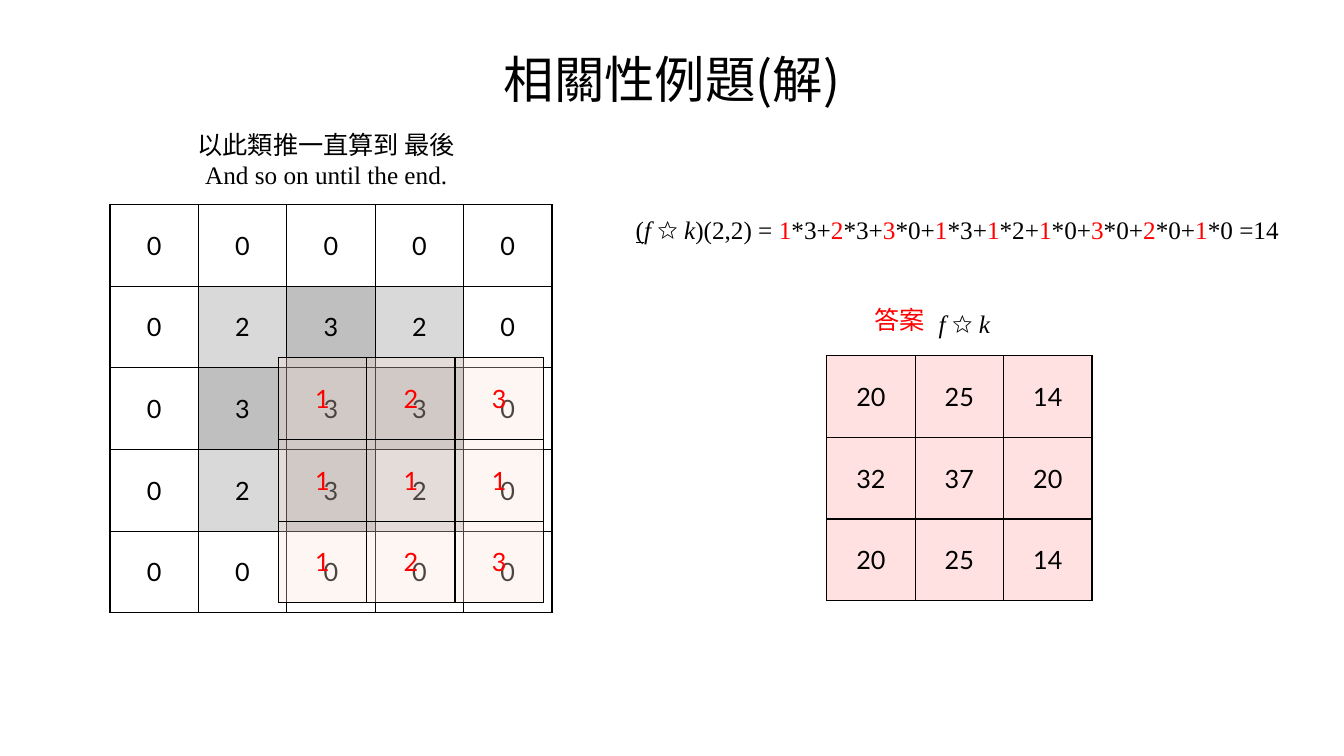
from lxml import etree
from pptx import Presentation
from pptx.dml.color import RGBColor
from pptx.enum import text as t
from pptx.oxml.ns import qn
from pptx.util import Inches, Pt

# Content
TITLE = "相關性例題(解)"
CAPTION_ZH, CAPTION_EN = "以此類推一直算到 最後", "And so on until the end."
ANSWER = "答案"
IMAGE = [[0, 0, 0, 0, 0],
         [0, 2, 3, 2, 0],
         [0, 3, 3, 3, 0],
         [0, 2, 3, 2, 0],
         [0, 0, 0, 0, 0]]
KERNEL = [[1, 2, 3], [1, 1, 1], [1, 2, 3]]
RESULT = [[20, 25, 14], [32, 37, 20], [20, 25, 14]]
PRODUCTS = [(1, 3), (2, 3), (3, 0), (1, 3), (1, 2), (1, 0), (3, 0), (2, 0), (1, 0)]

COLORS = {"black": "000000", "red": "FF0000", "white": "FFFFFF", "light": "D9D9D9",
          "mid": "BFBFBF", "kernel": "FBE3D6", "result": "FFE1E1"}
GREYS = {0: "white", 2: "light", 3: "mid"}
CJK, SERIF, SANS = "Noto Sans CJK SC", "Times New Roman", "Lato"
CELL_W, CELL_H = 0.877, 0.81

# A run is (text, style): i italic, u underlined, r red
CORRELATION = [("f ", "i"), ("☆ ", ""), ("k", "i")]
EQUATION = [("(", "u"), *CORRELATION, (")(2,2) = ", "")]
for n, (weight, pixel) in enumerate(PRODUCTS, 1):
    ending = "+" if n < len(PRODUCTS) else " =14 "
    EQUATION += [(str(weight), "r"), (f"*{pixel}{ending}", "")]


def rgb(name):
    return RGBColor.from_string(COLORS[name])


def set_font(font, name, size, color="black"):
    font.name, font.size = name, Pt(size)
    font.color.rgb = rgb(color)


def fill_paragraph(paragraph, runs, font, size=18, color="black", align=t.PP_ALIGN.CENTER):
    paragraph.alignment = align
    set_font(paragraph.font, font, size, color)
    for words, style in runs:
        run = paragraph.add_run()
        run.text = words
        set_font(run.font, font, size, "red" if "r" in style else color)
        if "i" in style:
            run.font.italic = True
        if "u" in style:
            run.font.underline = True
        if font == CJK:
            etree.SubElement(run.font._element, qn("a:ea"), typeface=font)


def add_text(box, wrap=False):
    frame = slide.shapes.add_textbox(*map(Inches, box)).text_frame
    frame.word_wrap = wrap
    frame.auto_size = t.MSO_AUTO_SIZE.SHAPE_TO_FIT_TEXT
    return frame


def add_border(cell):
    properties = cell._tc.get_or_add_tcPr()
    for place, side in enumerate(("lnL", "lnR", "lnT", "lnB")):
        line = etree.Element(qn(f"a:{side}"), w=str(Pt(1)))
        solid = etree.SubElement(line, qn("a:solidFill"))
        etree.SubElement(solid, qn("a:srgbClr"), val=COLORS["black"])
        properties.insert(place, line)


def add_grid(values, left, top, fill_of, color="black", opacity=100):
    rows, cols = len(values), len(values[0])
    table = slide.shapes.add_table(rows, cols, Inches(left), Inches(top),
                                   Inches(cols * CELL_W), Inches(rows * CELL_H)).table
    table.first_row = table.horz_banding = False
    for column in table.columns:
        column.width = Inches(CELL_W)
    for row, row_values in zip(table.rows, values):
        row.height = Inches(CELL_H)
        for cell, value in zip(row.cells, row_values):
            cell.vertical_anchor = t.MSO_ANCHOR.MIDDLE
            fill_paragraph(cell.text_frame.paragraphs[0], [(str(value), "")], SANS, color=color)
            cell.fill.solid()
            cell.fill.fore_color.rgb = rgb(fill_of(value))
            if opacity < 100:
                tint = cell._tc.tcPr.find(".//" + qn("a:srgbClr"))
                etree.SubElement(tint, qn("a:alpha"), val=str(opacity * 1000))
            add_border(cell)


prs = Presentation()
prs.slide_width, prs.slide_height = Inches(13.33), Inches(7.5)
slide = prs.slides.add_slide(prs.slide_layouts[5])

# Title
title = slide.shapes.title
title.left, title.top, title.width, title.height = map(Inches, (0, 0.42, 13.33, 0.71))
title.text_frame.vertical_anchor = t.MSO_ANCHOR.MIDDLE
fill_paragraph(title.text_frame.paragraphs[0], [(TITLE, "")], CJK, 36)

# Image, kernel laid over its last window, and result
add_grid(IMAGE, 1.09, 2.03, GREYS.get)
add_grid(KERNEL, 2.76, 3.55, lambda value: "kernel", "red", 30)
add_grid(RESULT, 8.2, 3.53, lambda value: "result")

# Formula and labels
fill_paragraph(add_text((9.1, 3.01, 0.93, 0.4), True).paragraphs[0], CORRELATION, SERIF)
fill_paragraph(add_text((6.15, 2.08, 6.75, 0.4)).paragraphs[0], EQUATION, SERIF)
caption = add_text((1.86, 1.23, 2.85, 0.71))
fill_paragraph(caption.paragraphs[0], [(CAPTION_ZH, "")], CJK, align=t.PP_ALIGN.LEFT)
fill_paragraph(caption.add_paragraph(), [(CAPTION_EN, "")], SERIF)
answer = add_text((8.57, 2.97, 0.71, 0.4))
fill_paragraph(answer.paragraphs[0], [(ANSWER, "")], CJK, color="red", align=t.PP_ALIGN.LEFT)

prs.save("out.pptx")
